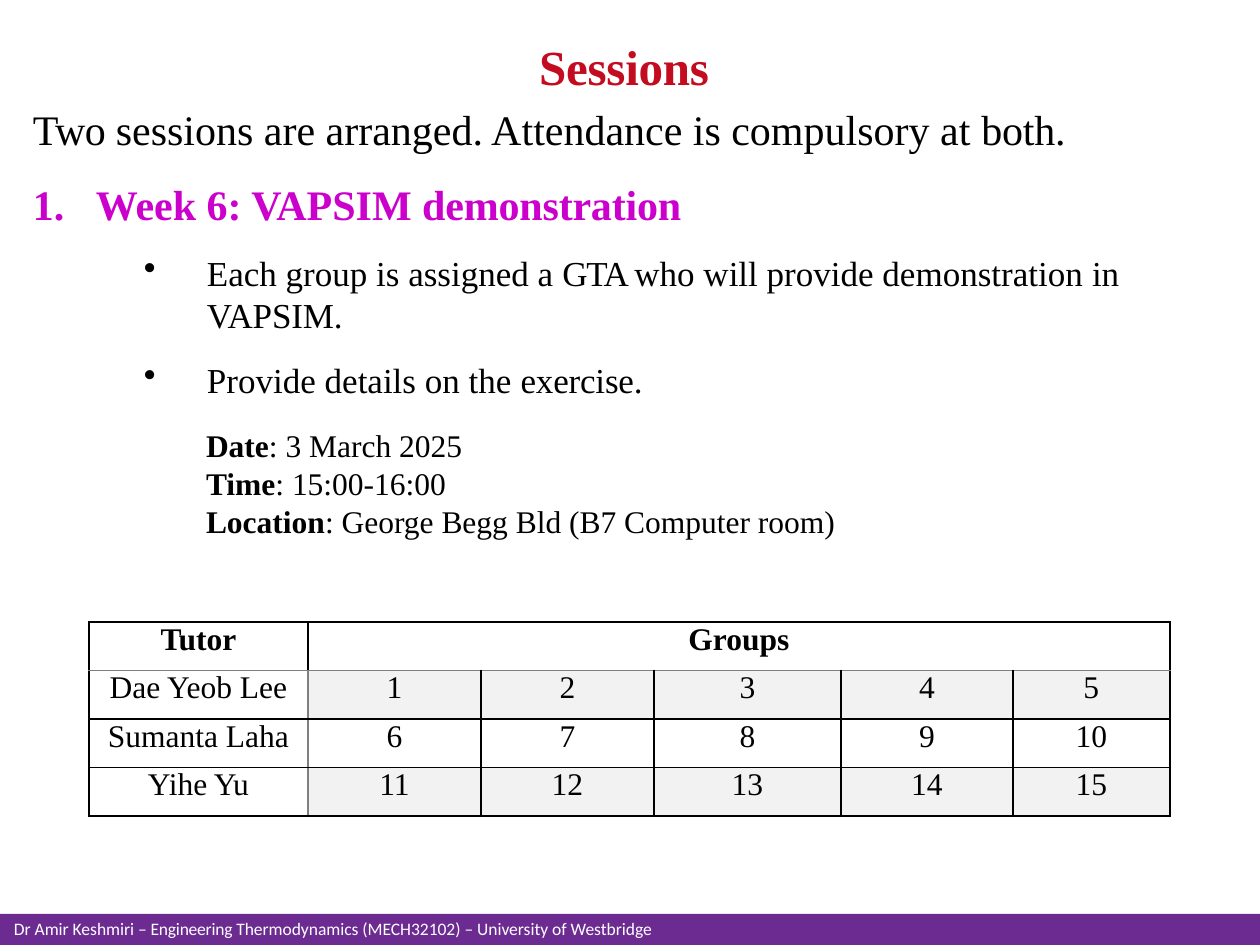
from lxml import etree
from pptx import Presentation
from pptx.dml.color import RGBColor
from pptx.enum.shapes import MSO_SHAPE
from pptx.enum.text import MSO_AUTO_SIZE, PP_ALIGN
from pptx.oxml.ns import qn
from pptx.util import Emu, Pt

PX = 914400 / 126
COLORS = {
    "title": "C30C1F", "heading": "CC00CC", "text": "000000", "footer": "6C2B91",
    "white": "FFFFFF", "band": "F2F2F2", "line": "000000", "soft_line": "7F7F7F",
}
COLORS_RGB = {name: RGBColor.from_string(value) for name, value in COLORS.items()}


def px(n):
    return Emu(round(n * PX))


def fill_text(tf, paragraphs):
    """Write (paragraph format, font format, runs); a run is (text, spacing, bold)."""
    for i, (para, font, runs) in enumerate(paragraphs):
        p = tf.paragraphs[0] if i == 0 else tf.add_paragraph()
        para = dict(para)
        pPr = p._p.get_or_add_pPr()
        for key in ("marL", "indent"):
            pPr.set(key, str(px(para.pop(key, 0))))
        bullet = para.pop("bullet", None)
        for key, value in para.items():
            setattr(p, key, value)
        if bullet:
            tag, key, value = bullet
            etree.SubElement(pPr, qn(tag)).set(key, value)
        for text, spacing, bold in runs:
            r = p.add_run()
            r.text = text
            r.font.bold = bold
            r.font.color.rgb = COLORS_RGB[font["color"]]
            for key in ("name", "size"):
                setattr(r.font, key, font[key])
            if spacing:
                r._r.get_or_add_rPr().set("spc", str(spacing))


prs = Presentation()
prs.slide_width, prs.slide_height = px(1260), px(945)
s = prs.slides.add_slide(prs.slide_layouts[6])

# Footer band
sp = s.shapes.add_shape(MSO_SHAPE.RECTANGLE, 0, px(914), px(1260), px(31))
sp.shadow.inherit = False
sp.fill.solid()
sp.fill.fore_color.rgb = COLORS_RGB["footer"]
sp.line.fill.background()

# Text boxes
serif = {"name": "Times New Roman", "color": "text"}
title = {**serif, "size": Pt(28), "color": "title"}
intro = {**serif, "size": Pt(24)}
heading = {**intro, "color": "heading"}
item = {**serif, "size": Pt(20)}
detail = {**serif, "size": Pt(18)}
footer = {"name": "Calibri", "size": Pt(10), "color": "white"}

number = {"marL": 64, "indent": -63, "space_before": Pt(13.8),
          "bullet": ("a:buAutoNum", "type", "arabicPeriod")}
dot = {"level": 1, "marL": 175, "indent": -63, "space_before": Pt(12.9),
       "bullet": ("a:buChar", "char", "•")}
details = [
    ("Date", "3 March 2025"),
    ("Time", "15:00-16:00"),
    ("Location", "George Begg Bld (B7 Computer room)"),
]

# (left, top, width, height), (side inset, top inset, bottom inset), wrap, paragraphs
boxes = [
    ((403, 36, 445, 62), (0, 1, 0), True, [
        ({"marL": 136, "space_before": Pt(0.9)}, title, [("Sessions", -10, True)]),
    ]),
    ((32, 79, 1187, 391), (0, 25, 0), True, [
        ({"marL": 1, "space_before": Pt(14.8)}, intro, [
            ("Two ", -30, False),
            ("sessions are arranged. Attendance is compulsory at ", 0, False),
            ("both.", -10, False)]),
        (number, heading, [("Week 6: VAPSIM ", 0, True), ("demonstration", -10, True)]),
        (dot, item, [
            ("Each group is assigned a ", 0, False), ("GTA ", -80, False),
            ("who will provide demonstration ", 0, False), ("in ", -20, False),
            ("VAPSIM.", -10, False)]),
        (dot, item, [("Provide details on the ", 0, False), ("exercise.", -10, False)]),
    ]),
    ((13, 921, 828, 18), (0, 0, 0), True, [
        ({"marL": 1, "line_spacing": Pt(10.4)}, footer, [
            ("Dr Amir Keshmiri – ", 0, False), ("Engineering ", -10, False),
            ("Thermodynamics (MECH32102) – University of Westbridge", 0, False)]),
    ]),
    ((193, 420, 661, 165), (13, 6, 6), False, [
        ({"alignment": PP_ALIGN.JUSTIFY}, detail,
         [(label, 0, True), (f": {value}", 0, False)])
        for label, value in details
    ]),
]
for place, (side, top, bottom), wrap, paragraphs in boxes:
    tf = s.shapes.add_textbox(*map(px, place)).text_frame
    frame_format = {
        "margin_left": px(side), "margin_right": px(side),
        "margin_top": px(top), "margin_bottom": px(bottom),
        "word_wrap": wrap, "auto_size": MSO_AUTO_SIZE.SHAPE_TO_FIT_TEXT,
    }
    for key, value in frame_format.items():
        setattr(tf, key, value)
    fill_text(tf, paragraphs)

# Tutor table
tutors = ["Dae Yeob Lee", "Sumanta Laha", "Yihe Yu"]
col_widths = [219, 173, 173, 187, 172, 157]
groups = len(col_widths) - 1
rows = [["Tutor", "Groups"] + [""] * (groups - 1)]
for i, tutor in enumerate(tutors):
    rows.append([tutor] + [str(i * groups + n) for n in range(1, groups + 1)])

table = s.shapes.add_table(len(rows), len(col_widths), px(89), px(622),
                           px(sum(col_widths)), px(194)).table
table.first_row = table.horz_banding = False
for column, width in zip(table.columns, col_widths):
    column.width = px(width)
table.cell(0, 1).merge(table.cell(0, groups))

for i, row in enumerate(rows):
    for j, text in enumerate(row):
        cell = table.cell(i, j)
        margins = {"margin_left": px(9), "margin_right": px(9),
                   "margin_top": 0, "margin_bottom": 0}
        for key, value in margins.items():
            setattr(cell, key, value)
        soft = {"lnL": i > 0 and j == 1, "lnR": i > 0 and j == 0,
                "lnT": i == 1, "lnB": i == 0}
        for side, is_soft in soft.items():
            ln = etree.SubElement(cell._tc.get_or_add_tcPr(), qn(f"a:{side}"), w=str(Pt(1)))
            fill = etree.SubElement(ln, qn("a:solidFill"))
            color = COLORS["soft_line" if is_soft else "line"]
            etree.SubElement(fill, qn("a:srgbClr"), val=color)
        cell.fill.solid()
        banded = i % 2 == 1 and j > 0
        cell.fill.fore_color.rgb = COLORS_RGB["band" if banded else "white"]
        if text:
            fill_text(cell.text_frame, [
                ({"alignment": PP_ALIGN.CENTER}, detail, [(text, 0, i == 0)])])

prs.save("out.pptx")
